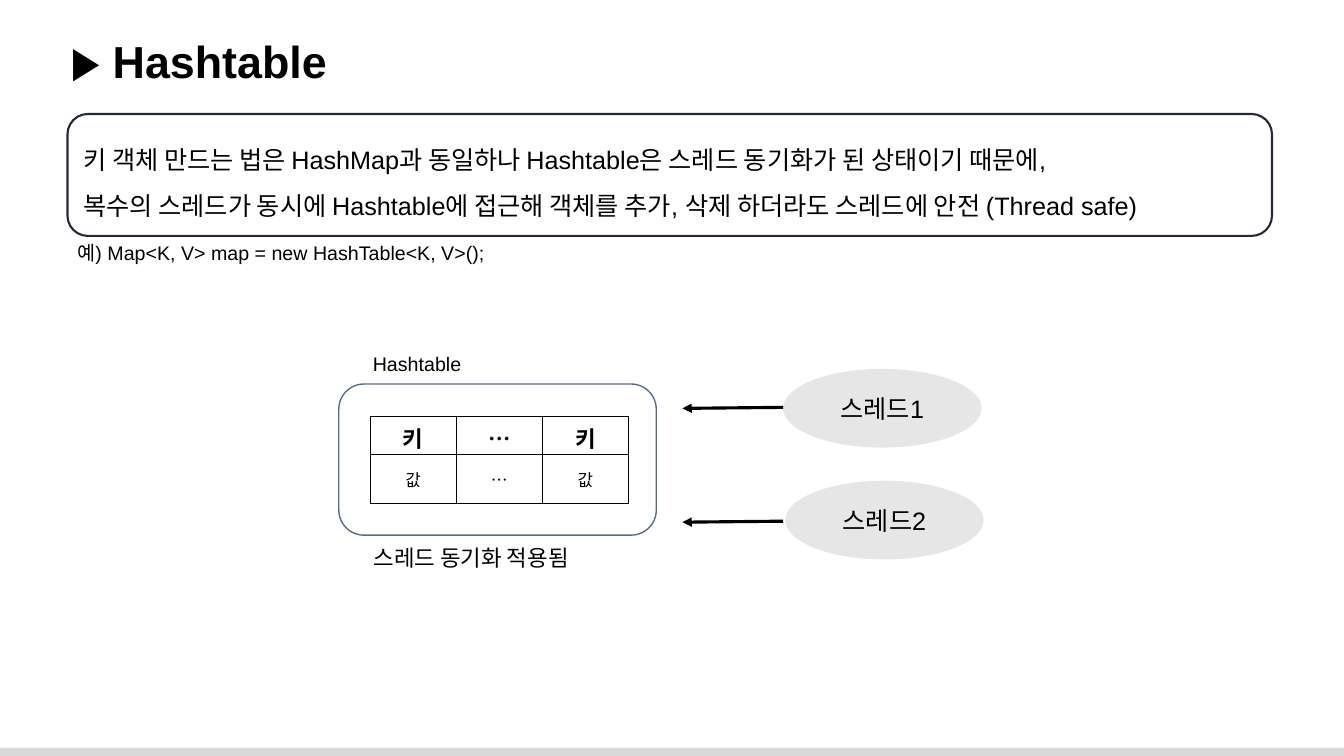
from lxml import etree
from pptx import Presentation
from pptx.dml.color import RGBColor
from pptx.enum.shapes import MSO_CONNECTOR, MSO_SHAPE
from pptx.enum.text import MSO_ANCHOR, MSO_AUTO_SIZE, PP_ALIGN
from pptx.oxml.ns import qn
from pptx.util import Pt

RECTANGLE, ROUNDED, OVAL = MSO_SHAPE.RECTANGLE, MSO_SHAPE.ROUNDED_RECTANGLE, MSO_SHAPE.OVAL
STRAIGHT = MSO_CONNECTOR.STRAIGHT
LEFT, CENTER = PP_ALIGN.LEFT, PP_ALIGN.CENTER
TOP, MIDDLE = MSO_ANCHOR.TOP, MSO_ANCHOR.MIDDLE
GROW = MSO_AUTO_SIZE.SHAPE_TO_FIT_TEXT
COLORS = {
    "ink": "000000",
    "note_line": "222A35",
    "map_line": "586C89",
    "thread": "E7E6E6",
    "footer": "D9D9D9",
}
LATIN, KOREAN = "Arial", "Noto Sans CJK KR"


def color(name):
    return RGBColor.from_string(COLORS[name])


def write(frame, text, size=18, bold=False, font=LATIN, align=LEFT, spacing=None):
    for index, line in enumerate(text.split("\n")):
        paragraph = frame.add_paragraph() if index else frame.paragraphs[0]
        paragraph.alignment = align
        paragraph.line_spacing = spacing
        run = paragraph.add_run()
        run.text = line
        run.font.name, run.font.size, run.font.bold = font, Pt(size), bold
        run.font.color.rgb = color("ink")
        properties = run.font._element
        east_asian = etree.Element(qn("a:ea"), typeface=KOREAN)
        properties.find(qn("a:latin")).addnext(east_asian)


class Deck:
    """Holds the presentation, its style and the current slide."""

    def __init__(self):
        self.presentation = Presentation()
        self.presentation.slide_width = Pt(960)
        self.presentation.slide_height = Pt(540)
        self.slide = self.presentation.slides.add_slide(self.presentation.slide_layouts[5])

    def title(self, box, text):
        shape = self.slide.shapes.title
        shape.left, shape.top, shape.width, shape.height = map(Pt, box)
        frame = shape.text_frame
        frame.vertical_anchor = TOP
        frame.auto_size = GROW
        write(frame, text, size=32, bold=True)

    def shape(self, kind, box, fill=None, line=None, weight=1, text=None, **text_format):
        shape = self.slide.shapes.add_shape(kind, *map(Pt, box))
        shape.shadow.inherit = False
        if fill:
            shape.fill.solid()
            shape.fill.fore_color.rgb = color(fill)
        else:
            shape.fill.background()
        if line:
            shape.line.color.rgb = color(line)
            shape.line.width = Pt(weight)
        else:
            shape.line.fill.background()
        if text:
            shape.text_frame.vertical_anchor = MIDDLE
            write(shape.text_frame, text, **text_format)

    def label(self, box, text, size):
        frame = self.slide.shapes.add_textbox(*map(Pt, box)).text_frame
        frame.word_wrap = False
        frame.auto_size = GROW
        write(frame, text, size=size)

    def arrow(self, start, end):
        connector = self.slide.shapes.add_connector(STRAIGHT, *map(Pt, start + end))
        connector.line.color.rgb = color("ink")
        connector.line.width = Pt(2.25)
        etree.SubElement(connector.line._get_or_add_ln(), qn("a:tailEnd"), type="triangle")
        etree.SubElement(connector._element.spPr, qn("a:effectLst"))

    def table(self, left, top, column_width, row_heights, rows, formats):
        columns = len(rows[0])
        size = (left, top, column_width * columns, sum(row_heights))
        table = self.slide.shapes.add_table(len(rows), columns, *map(Pt, size)).table
        table.first_row = table.horz_banding = False
        for column in table.columns:
            column.width = Pt(column_width)
        for row, height, texts, text_format in zip(table.rows, row_heights, rows, formats):
            row.height = Pt(height)
            for cell, text in zip(row.cells, texts):
                cell.vertical_anchor = MIDDLE
                write(cell.text_frame, text, font=KOREAN, align=CENTER, **text_format)
                self.borders(cell)
                cell.fill.background()

    def borders(self, cell):
        properties = cell._tc.get_or_add_tcPr()
        for side in ("a:lnL", "a:lnR", "a:lnT", "a:lnB"):
            line = etree.SubElement(properties, qn(side), w=str(Pt(1)))
            fill = etree.SubElement(line, qn("a:solidFill"))
            etree.SubElement(fill, qn("a:srgbClr"), val=COLORS["ink"])


def main():
    deck = Deck()
    deck.shape(RECTANGLE, (0, 534.2, 960, 5.8), fill="footer")
    deck.title((43.2, 20.2, 907, 46), "▶ Hashtable")
    deck.shape(
        ROUNDED, (48.2, 81.4, 860.4, 87.1), line="note_line", weight=1.5, spacing=1.5,
        text="키 객체 만드는 법은 HashMap과 동일하나 Hashtable은 스레드 동기화가 된 상태이기 때문에,\n"
             "복수의 스레드가 동시에 Hashtable에 접근해 객체를 추가, 삭제 하더라도 스레드에 안전 (Thread safe)",
    )
    deck.label((259.2, 247.7, 78.5, 24.5), "Hashtable", 14)
    deck.shape(ROUNDED, (242, 274.3, 226.8, 108), line="map_line")
    deck.table(
        264.4, 297.4, 61.5, (27.4, 34.6),
        (("키", "…", "키"), ("값", "…", "값")),
        ({"size": 16, "bold": True}, {"size": 12}),
    )
    threads = (("스레드1", 559.4, 263.5, 291), ("스레드2", 560.9, 343.4, 372.3))
    for name, left, top, arrow_top in threads:
        deck.shape(OVAL, (left, top, 141.8, 56.2), fill="thread", text=name, align=CENTER)
        deck.arrow((559.4, arrow_top), (487.4, arrow_top + 0.7))
    deck.label((259.9, 385.2, 170.6, 26.6), "스레드 동기화 적용됨", 16)
    deck.label((48.2, 168.5, 317.5, 24.5), "예) Map<K, V> map = new HashTable<K, V>();", 14)
    deck.presentation.save("out.pptx")


if __name__ == "__main__":
    main()
